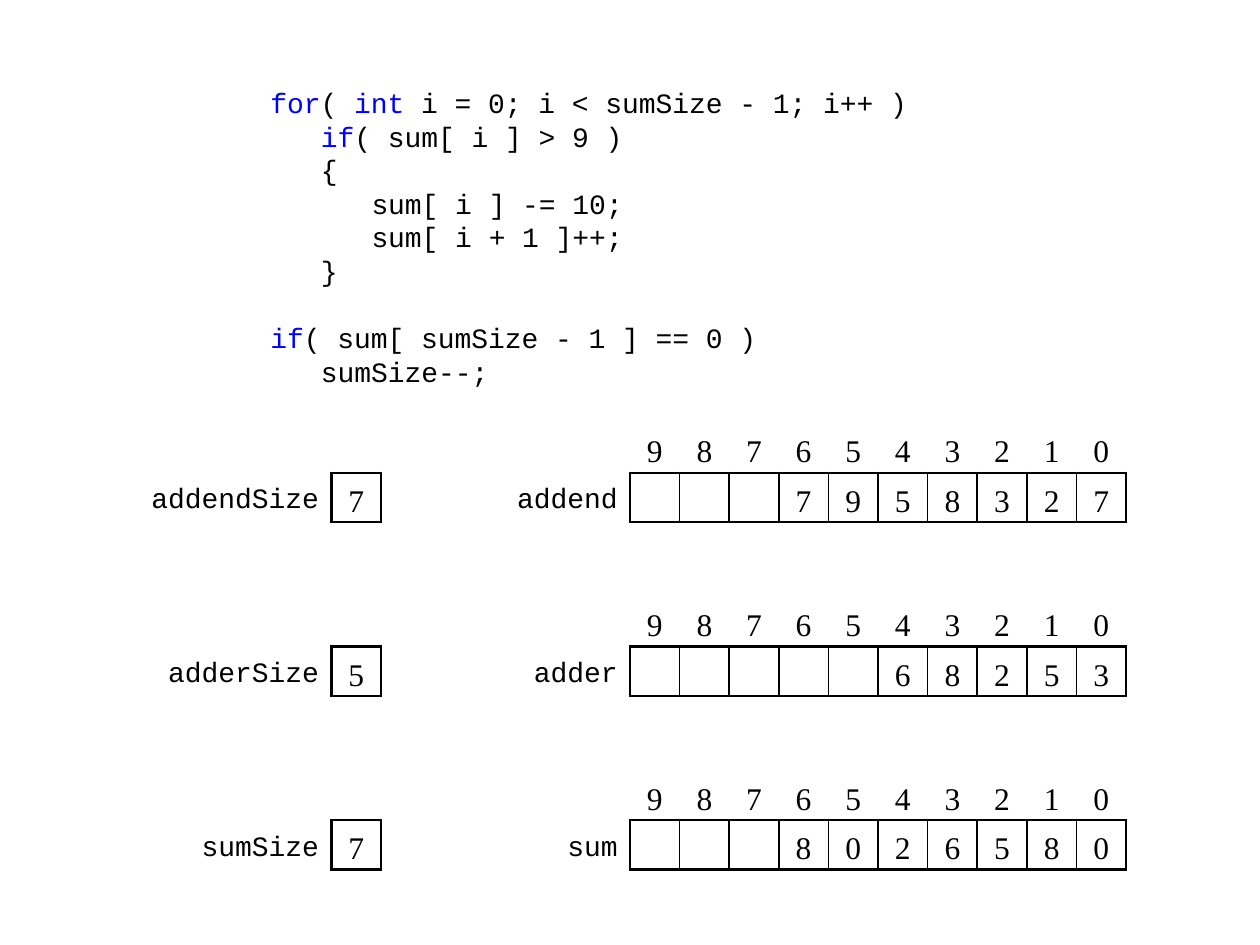
from lxml.etree import SubElement
from pptx import Presentation
from pptx.dml.color import RGBColor
from pptx.enum.text import MSO_ANCHOR as Anchor, PP_ALIGN as Align
from pptx.oxml.ns import qn
from pptx.util import Cm, Pt

BLACK = RGBColor(0, 0, 0)
BLUE = RGBColor(0, 0, 255)
CODE_FONT, DIGIT_FONT = "Courier New", "Times New Roman"
NO_STYLE = "{2D5ABB26-0587-4C30-8999-92F81FD0307C}"
DIGITS = 10
CELL = 1
LINE_HEIGHT = Pt(19.2)
THICK, THIN = Pt(1.5), Pt(1)


def write_cell(cell, text, label=False):
    cell.fill.background()
    cell.vertical_anchor = Anchor.MIDDLE
    cell.margin_left = cell.margin_top = cell.margin_bottom = 0
    cell.margin_right = Cm(0.25) if label else 0
    paragraph = cell.text_frame.paragraphs[0]
    paragraph.alignment = Align.RIGHT if label else Align.CENTER
    paragraph.line_spacing = 1.25
    if text:
        run = paragraph.add_run()
        run.text = text
        run.font.name = CODE_FONT if label else DIGIT_FONT
        run.font.size = Pt(16 if label else 18)
        run.font.color.rgb = BLACK


def draw_borders(cell, left, right):
    properties = cell._tc.get_or_add_tcPr()
    sides = (("L", left), ("R", right), ("T", THICK), ("B", THICK))
    for position, (side, width) in enumerate(sides):
        line = SubElement(properties, qn(f"a:ln{side}"), w=str(width))
        fill = SubElement(line, qn("a:solidFill"))
        SubElement(fill, qn("a:srgbClr"), val=str(BLACK))
        properties.insert(position, line)


presentation = Presentation()
presentation.slide_width = Cm(25.4)
presentation.slide_height = Cm(19.05)
slide = presentation.slides.add_slide(presentation.slide_layouts[6])

code_lines = [
    (0, 0, [("for", BLUE), ("( ", BLACK), ("int", BLUE),
            (" i = 0; i < sumSize - 1; i++ )", BLACK)]),
    (1, 0, [("if", BLUE), ("( sum[ i ] > 9 )", BLACK)]),
    (1, 0, [("{", BLACK)]),
    (2, 0, [("sum[ i ] -= 10;", BLACK)]),
    (2, 0, [("sum[ i + 1 ]++;", BLACK)]),
    (1, 0, [("}", BLACK)]),
    (0, LINE_HEIGHT, [("if", BLUE), ("( sum[ sumSize - 1 ] == 0 )", BLACK)]),
    (1, 0, [("sumSize--;", BLACK)]),
]
code_box = slide.shapes.add_textbox(Cm(5.2), Cm(1.52), Cm(15), Cm(6.5))
code_frame = code_box.text_frame
code_frame.word_wrap = True
code_frame.vertical_anchor = Anchor.MIDDLE
for number, (level, gap, pieces) in enumerate(code_lines):
    paragraph = code_frame.add_paragraph() if number else code_frame.paragraphs[0]
    paragraph.line_spacing = LINE_HEIGHT
    paragraph.space_before = gap
    paragraph._p.get_or_add_pPr().set("marL", str(Cm(1.02 * level)))
    for text, color in pieces:
        run = paragraph.add_run()
        run.text = text
        run.font.name = CODE_FONT
        run.font.size = Pt(16)
        run.font.color.rgb = color

numbers = [
    ("addend", "7958327", 2.5, 4),
    ("adder", "68253", 2.5, 4),
    ("sum", "8026580", 2, 3),
]
for index, (name, digits, name_width, size_width) in enumerate(numbers):
    top = 8.53 + 3.5 * index
    positions = [str(place) for place in reversed(range(DIGITS))]
    values = [""] * (DIGITS - len(digits)) + list(digits)
    tables = [
        (12.7, top, name_width, [[""] + positions, [name] + values]),
        (6.68, top + CELL, size_width, [[name + "Size", str(len(digits))]]),
    ]
    for box_left, table_top, label_width, rows in tables:
        last = len(rows[0]) - 1
        frame = slide.shapes.add_table(
            len(rows), last + 1, Cm(box_left - label_width), Cm(table_top),
            Cm(label_width + CELL * last), Cm(CELL * len(rows)))
        table = frame.table
        table.first_row = table.horz_banding = False
        table._tbl.tblPr.find(qn("a:tableStyleId")).text = NO_STYLE
        for column in range(last + 1):
            table.columns[column].width = Cm(CELL if column else label_width)
        for row, texts in enumerate(rows):
            table.rows[row].height = Cm(CELL)
            for column, text in enumerate(texts):
                cell = table.cell(row, column)
                write_cell(cell, text, label=column == 0)
                if column and row == len(rows) - 1:
                    draw_borders(cell, THICK if column == 1 else THIN,
                                 THICK if column == last else THIN)

presentation.save("out.pptx")
